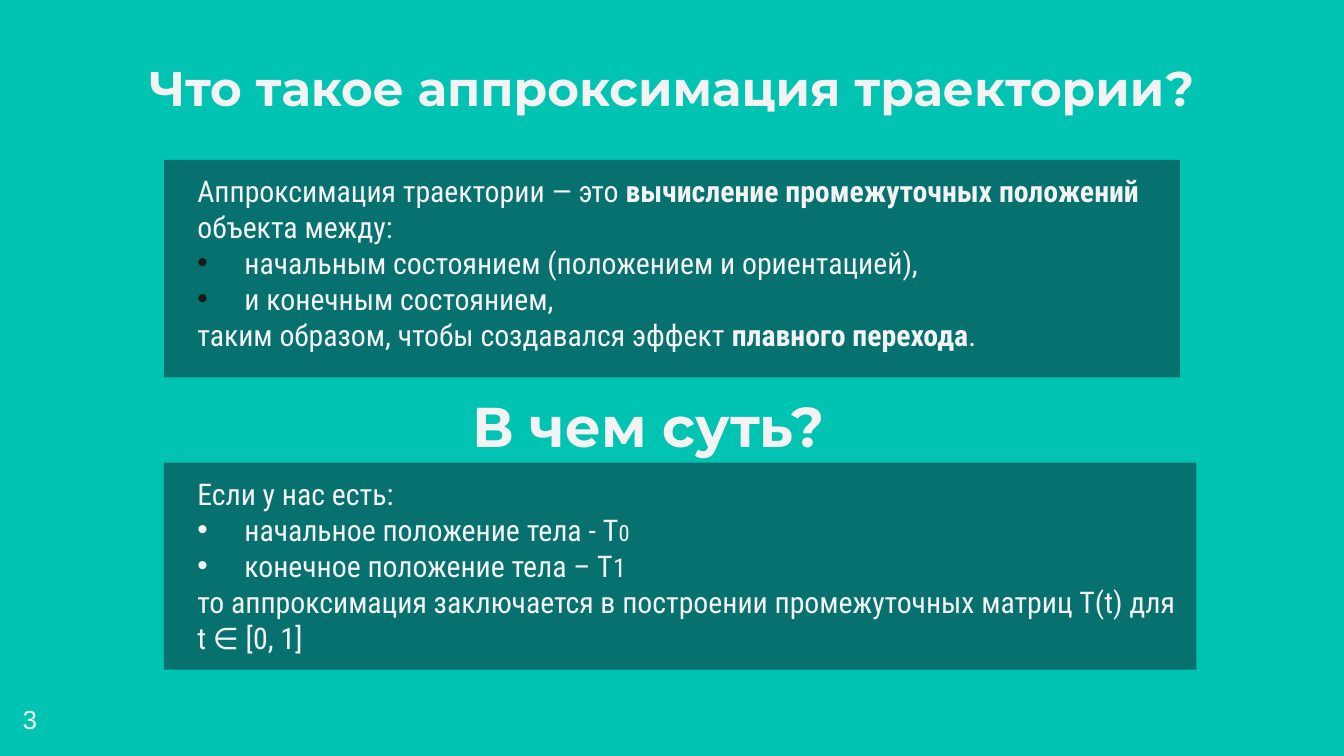
import pptx
import pptx.dml.color
import pptx.enum.shapes
import pptx.enum.text
import pptx.oxml.ns
import pptx.util
from lxml import etree
from pptx.util import Cm

BACKGROUND, PANEL, LIGHT, DARK = "00C3B1", "0C343D", "F3F3F3", "191919"
HEADING_FONT, BODY_FONT = "Montserrat", "Roboto Condensed"
PANEL_LEFT = 3.1
INSET = 0.25


def rgb(value):
    return pptx.dml.color.RGBColor.from_string(value)


def place(shape, left, top, width, height):
    shape.left, shape.top = Cm(left), Cm(top)
    shape.width, shape.height = Cm(width), Cm(height)


def set_frame(frame, inset=INSET):
    frame.word_wrap = True
    frame.auto_size = pptx.enum.text.MSO_AUTO_SIZE.NONE
    frame.vertical_anchor = pptx.enum.text.MSO_ANCHOR.TOP
    frame.margin_left = frame.margin_right = Cm(inset)
    frame.margin_top = frame.margin_bottom = Cm(INSET)


def set_font(font, name, size, bold=False):
    font.name, font.size, font.bold = name, pptx.util.Pt(size), bold
    font.color.rgb = rgb(LIGHT)


def set_bullet(paragraph, color):
    """Indent the paragraph; a colour gives it a bullet, None gives none."""
    qn = pptx.oxml.ns.qn
    properties = paragraph._p.get_or_add_pPr()
    properties.set("marL", str(Cm(1.27 if color else 0.38)))
    properties.set("indent", str(Cm(-0.89 if color else 0)))
    if color is None:
        etree.SubElement(properties, qn("a:buNone"))
        return
    bullet_color = etree.SubElement(properties, qn("a:buClr"))
    etree.SubElement(bullet_color, qn("a:srgbClr"), val=color)
    etree.SubElement(properties, qn("a:buFont"), typeface="Arial")
    etree.SubElement(properties, qn("a:buChar"), char="•")


def write_heading(shape, text, size, top, left):
    place(shape, left, top, 21.41, 1.6)
    set_frame(shape.text_frame)
    paragraph = shape.text_frame.paragraphs[0]
    paragraph.text = text
    paragraph.alignment = pptx.enum.text.PP_ALIGN.CENTER
    set_font(paragraph.font, HEADING_FONT, size, bold=True)


def write_panel(panel, top, width, height, lines):
    """Each line is (bullet colour, runs); a run is (text, bold, size)."""
    place(panel, PANEL_LEFT, top, width, height)
    panel.fill.solid()
    panel.fill.fore_color.rgb = rgb(PANEL)
    fill_color = panel.fill._xPr.find(".//" + pptx.oxml.ns.qn("a:srgbClr"))
    etree.SubElement(fill_color, pptx.oxml.ns.qn("a:alpha"), val="57000")
    panel.line.fill.background()
    frame = panel.text_frame
    set_frame(frame)
    for number, (bullet_color, runs) in enumerate(lines):
        paragraph = frame.add_paragraph() if number else frame.paragraphs[0]
        set_bullet(paragraph, bullet_color)
        paragraph.alignment = pptx.enum.text.PP_ALIGN.LEFT
        paragraph.space_before = pptx.util.Pt(0)
        set_font(paragraph.font, BODY_FONT, 16)
        for text, bold, size in runs:
            run = paragraph.add_run()
            run.text = text
            set_font(run.font, BODY_FONT, size, bold)


def plain(text):
    return text, False, 16


def strong(text):
    return text, True, 16


def index(text, size):
    return text, False, size


def add_page_number(slide, number):
    box = slide.shapes.add_textbox(Cm(0.18), Cm(13.16), Cm(1.09), Cm(0.86))
    set_frame(box.text_frame)
    box.text_frame.margin_top = box.text_frame.margin_bottom = Cm(0.13)
    paragraph = box.text_frame.paragraphs[0]
    paragraph.text = number
    set_font(paragraph.font, "Arial", 14)


def main():
    deck = pptx.Presentation()
    deck.slide_width, deck.slide_height = Cm(25.4), Cm(14.28)
    slide = deck.slides.add_slide(deck.slide_layouts[1])
    slide.background.fill.solid()
    slide.background.fill.fore_color.rgb = rgb(BACKGROUND)

    # Definition
    write_heading(slide.shapes.title, "Что такое аппроксимация траектории?",
                  26, top=0.84, left=2)
    write_panel(slide.placeholders[1], 3.02, 19.2, 4.11, [
        (None, [plain("Аппроксимация траектории — это "),
                strong("вычисление промежуточных положений"),
                plain(" объекта между:")]),
        (DARK, [plain("начальным состоянием (положением и ориентацией),")]),
        (DARK, [plain("и конечным состоянием,")]),
        (None, [plain("таким образом, чтобы создавался эффект "),
                strong("плавного перехода"), plain(".")]),
    ])

    # Main idea
    idea_heading = slide.shapes.add_textbox(0, 0, 0, 0)
    write_heading(idea_heading, "В чем суть?", 30, top=7.14, left=1.55)
    idea_panel = slide.shapes.add_shape(
        pptx.enum.shapes.MSO_SHAPE.RECTANGLE, 0, 0, 0, 0)
    idea_panel.shadow.inherit = False
    write_panel(idea_panel, 8.74, 19.51, 3.91, [
        (None, [plain("Если у нас есть:")]),
        (LIGHT, [plain("начальное положение тела - T"), index("0", 12)]),
        (LIGHT, [plain("конечное положение тела – T"), index("1", 14)]),
        (None, [plain("то аппроксимация заключается в построении "
                      "промежуточных матриц T(t) для t ∈ [0, 1]")]),
    ])

    add_page_number(slide, "3")
    deck.save("out.pptx")


if __name__ == "__main__":
    main()
